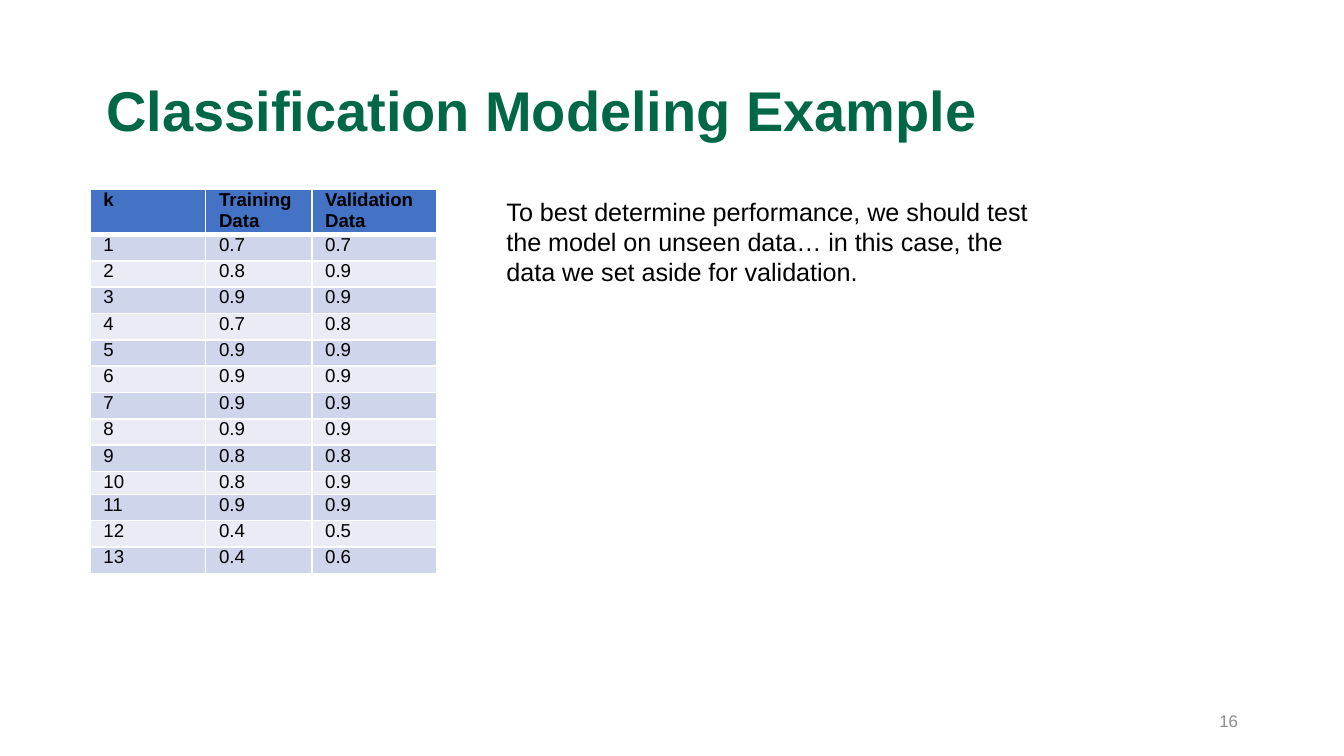
import lxml.etree
import pptx
import pptx.dml.color
import pptx.enum.text
import pptx.oxml.ns
import pptx.util

W = 10
H = W * 9 / 16
ALIGN = pptx.enum.text.PP_ALIGN
ANCHOR = pptx.enum.text.MSO_ANCHOR
inch = pptx.util.Inches
qn = pptx.oxml.ns.qn


def rgb(value):
    return pptx.dml.color.RGBColor.from_string(value)


def write(tf, text, size, color="000000", bold=False, frame={}, para={}):
    """Put one formatted run in a text frame; frame and para hold extra settings."""
    for name, value in frame.items():
        setattr(tf, name, value)
    p = tf.paragraphs[0]
    for name, value in para.items():
        setattr(p, name, value)
    r = p.add_run()
    r.text = text
    font = {"name": "Arial", "size": pptx.util.Pt(size), "bold": bold}
    for name, value in font.items():
        setattr(r.font, name, value)
    r.font.color.rgb = rgb(color)


prs = pptx.Presentation()
prs.slide_width, prs.slide_height = inch(W), inch(H)
s = prs.slides.add_slide(prs.slide_layouts[5])

# Title
title = s.shapes.title
box = {"left": 0.69, "top": 0.3, "width": 8.62, "height": 1.09}
for name, value in box.items():
    setattr(title, name, inch(value))
write(title.text_frame, "Classification Modeling Example", 30, "006747", True,
      {"vertical_anchor": ANCHOR.MIDDLE, "word_wrap": True},
      {"alignment": ALIGN.LEFT, "line_spacing": 0.9})

# Slide number
number = s.shapes.add_textbox(inch(7.06), inch(5.21), inch(2.25), inch(0.3))
write(number.text_frame, "16", 9, "8C8C8C",
      frame={"vertical_anchor": ANCHOR.MIDDLE, "word_wrap": True},
      para={"alignment": ALIGN.RIGHT})

# Accuracy table: k, training, validation
training = [0.7, 0.8, 0.9, 0.7, 0.9, 0.9, 0.9, 0.9, 0.8, 0.8, 0.9, 0.4, 0.4]
validation = [0.7, 0.9, 0.9, 0.8, 0.9, 0.9, 0.9, 0.9, 0.8, 0.9, 0.9, 0.5, 0.6]
rows = [("k", "Training Data", "Validation Data")]
rows += zip(range(1, len(training) + 1), training, validation)
col_widths = [0.86, 0.79, 0.93]
table_height, short_row, short_height = 2.72, 10, 0.17
row_height = (table_height - short_height) / (len(rows) - 1)

table = s.shapes.add_table(len(rows), len(col_widths), inch(0.67), inch(1.41),
                           inch(sum(col_widths)), inch(table_height)).table
for col, width in zip(table.columns, col_widths):
    col.width = inch(width)
for i, values in enumerate(rows):
    table.rows[i].height = inch(short_height if i == short_row else row_height)
    fill = "4472C4" if i == 0 else ("E9EBF5", "CFD5EA")[i % 2]
    for j, value in enumerate(values):
        cell = table.cell(i, j)
        cell.margin_top = cell.margin_bottom = 0
        # Borders go before the fill in the cell's properties
        for side in ("lnL", "lnR", "lnT", "lnB"):
            thick = (i == 0 and side == "lnB") or (i == 1 and side == "lnT")
            line = lxml.etree.SubElement(cell._tc.get_or_add_tcPr(), qn("a:" + side),
                                         w=str(pptx.util.Pt(3 if thick else 1)))
            solid = lxml.etree.SubElement(line, qn("a:solidFill"))
            lxml.etree.SubElement(solid, qn("a:srgbClr"), val="FFFFFF")
        cell.fill.solid()
        cell.fill.fore_color.rgb = rgb(fill)
        write(cell.text_frame, str(value), 10, bold=i == 0)

# Takeaway
note = s.shapes.add_textbox(inch(3.67), inch(1.41), inch(4.25), inch(2.12))
write(note.text_frame,
      "To best determine performance, we should test the model on unseen data… "
      "in this case, the data we set aside for validation.",
      13.5, frame={"word_wrap": True})

prs.save("out.pptx")
